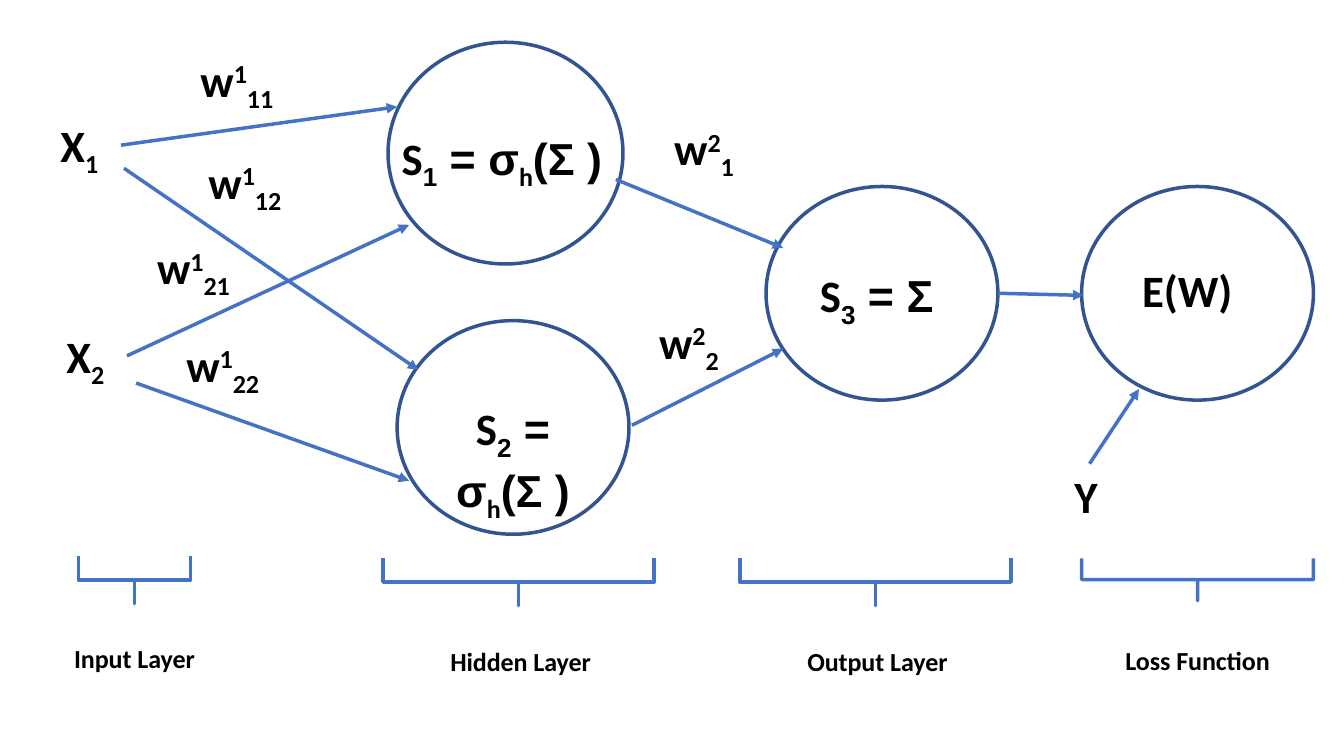
from lxml.etree import SubElement
from pptx import Presentation
from pptx.dml.color import RGBColor
from pptx.enum.shapes import MSO_CONNECTOR as Connector, MSO_SHAPE as Preset
from pptx.enum.text import MSO_AUTO_SIZE as AutoSize, PP_ALIGN as Align
from pptx.oxml.ns import qn
from pptx.util import Pt

COLORS = {"text": "000000", "outline": "325491", "accent": "4472C4"}
SUB, SUPER = -25000, 30000
LABEL_HEIGHT, CAPTION_HEIGHT = 46, 33


def rgb(name):
    return RGBColor.from_string(COLORS[name])


def add_run(paragraph, text, *, font="Calibri", size=32, baseline=0):
    run = paragraph.add_run()
    run.text = text
    run.font.name, run.font.size, run.font.bold = font, Pt(size), True
    run.font.color.rgb = rgb("text")
    if baseline:
        run.font._element.set("baseline", str(baseline))


class Diagram:
    line_width = 2.5

    def __init__(self, slide):
        self.shapes = slide.shapes

    def label(self, left, top, width, parts, *, height=LABEL_HEIGHT, align=Align.LEFT):
        """Add a text box; each part is a text and a dict of its run format."""
        box = self.shapes.add_textbox(Pt(left), Pt(top), Pt(width), Pt(height))
        frame = box.text_frame
        frame.word_wrap = True
        frame.auto_size = AutoSize.SHAPE_TO_FIT_TEXT
        paragraph = frame.paragraphs[0]
        paragraph.alignment = align
        for text, style in parts:
            add_run(paragraph, text, **style)

    def outline(self, preset, left, top, width, height, color):
        shape = self.shapes.add_shape(preset, Pt(left), Pt(top), Pt(width), Pt(height))
        shape.shadow.inherit = False
        shape.fill.background()
        shape.line.color.rgb = rgb(color)
        shape.line.width = Pt(self.line_width)
        return shape

    def neuron(self, left, top, width=165.6, height=152.6):
        self.outline(Preset.OVAL, left, top, width, height, "outline")

    def arrow(self, *ends):
        arrow = self.shapes.add_connector(Connector.STRAIGHT, *map(Pt, ends))
        arrow.line.color.rgb = rgb("accent")
        arrow.line.width = Pt(self.line_width)
        SubElement(arrow.line._get_or_add_ln(), qn("a:tailEnd"), type="triangle")
        SubElement(arrow._element.spPr, qn("a:effectLst"))

    def brace(self, center_x, center_y, span, depth):
        """Add a square brace that opens upwards."""
        brace = self.outline(Preset.RIGHT_BRACE, center_x - depth / 2,
                             center_y - span / 2, depth, span, "accent")
        brace.adjustments[0], brace.adjustments[1] = 0, 0.5
        brace.rotation = 90

    def caption(self, center_x, top, width, text):
        self.label(center_x - width / 2, top, width, [(text, {"baseline": SUB})],
                   height=CAPTION_HEIGHT, align=Align.CENTER)


def indexed(letter, lower, upper=""):
    parts = [(letter, {}), (upper, {"baseline": SUPER}), (lower, {"baseline": SUB})]
    return [part for part in parts if part[0]]


def weighted_sum(index, ending, activated=True):
    parts = [("S", {}), (index, {"font": "Arial", "baseline": SUB})]
    if activated:
        parts += [(" = σ", {"font": "Arial"}), ("h", {"baseline": SUB})]
    return parts + [(ending, {"font": "Arial"})]


NEURONS = [
    (277.2, 30.2, 167.8, 158.4),
    (283.7, 229),
    (547.2, 133.2),
    (772.6, 133.2),
]
FORMULAS = [
    (277.2, 90, 162.7, weighted_sum("1", "(Σ ) ")),
    (288, 283, 157, weighted_sum("2", "(Σ )")),
    (553.7, 187.9, 154.1, weighted_sum("3", " = Σ ", activated=False)),
    (771.1, 184.3, 154.1, [("E(W)", {})]),
]
INPUTS = [
    (36, 80.6, 50.4, indexed("X", "1")),
    (40.3, 231.1, 50.4, indexed("X", "2")),
    (760.3, 331.2, 36, [("Y", {})]),
]
WEIGHTS = [
    (136.1, 33.8, "1", "11"),
    (141.8, 106.6, "1", "12"),
    (105.1, 167.8, "1", "21"),
    (126, 237.6, "1", "22"),
    (474.5, 82.8, "2", "1"),
    (463.7, 221, "2", "2"),
]
ARROWS = [
    (86.4, 103.7, 283.7, 76.3),
    (88.6, 120.2, 298.8, 264.2),
    (90.7, 254.2, 292.3, 160.6),
    (97.2, 273.6, 292.3, 343.4),
    (439.9, 128.2, 559.4, 177.1),
    (451.4, 303.8, 559.4, 249.1),
    (712.8, 209.5, 774, 211),
    (778.3, 331.2, 813.6, 277.9),
]
# Brace: centre x, centre y, span, depth; caption: centre x, top, width, text
LAYERS = [
    ((96.1, 414.4, 79.9, 33.8), (96.1, 434.2, 131.8, "Input Layer")),
    ((370.4, 415.8, 193.7, 33.8), (371.9, 436.3, 146.2, "Hidden Layer")),
    ((625.3, 415.8, 193.7, 33.8), (626.8, 436.3, 146.2, "Output Layer")),
    ((855.4, 414, 165.6, 30.2), (855.4, 435.6, 165.6, "Loss Function")),
]


def main():
    deck = Presentation()
    deck.slide_width, deck.slide_height = Pt(960), Pt(540)
    network = Diagram(deck.slides.add_slide(deck.slide_layouts[6]))
    for bounds in NEURONS:
        network.neuron(*bounds)
    for formula in FORMULAS:
        network.label(*formula, align=Align.CENTER)
    for signal in INPUTS:
        network.label(*signal)
    for left, top, layer, index in WEIGHTS:
        network.label(left, top, 72.7, indexed("w", index, layer))
    for ends in ARROWS:
        network.arrow(*ends)
    for brace, caption in LAYERS:
        network.brace(*brace)
        network.caption(*caption)
    deck.save("out.pptx")


if __name__ == "__main__":
    main()
